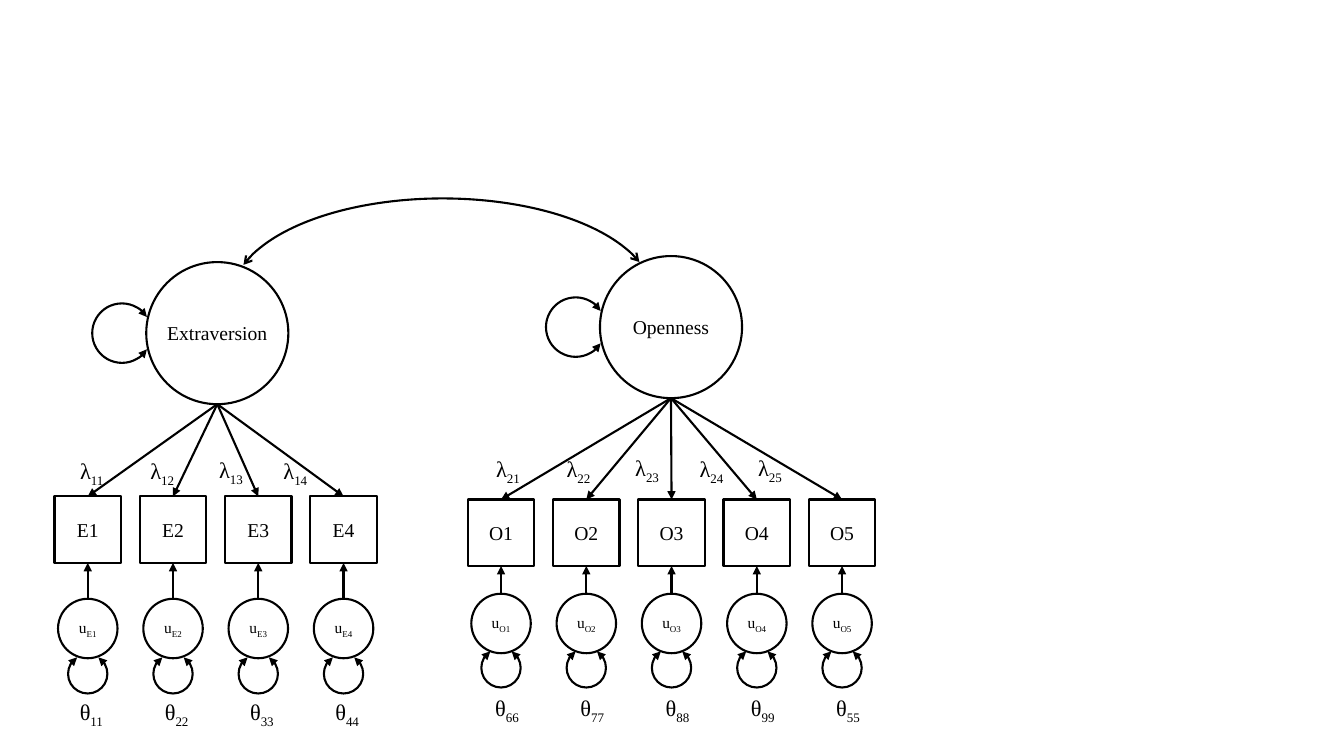
import pptx
import pptx.util
import pptx.dml.color
import pptx.enum.shapes
import pptx.enum.text
import pptx.oxml.ns
import lxml.etree

Pt = pptx.util.Pt
SHAPE = pptx.enum.shapes.MSO_SHAPE
ANCHOR = pptx.enum.text.MSO_ANCHOR
COLORS = {"ink": "000000", "paper": "FFFFFF"}

# Sizes shared by both factors, in points
FACTOR, BOX, ERROR, LOOP = 101.5, 47.5, 42.5, 28.1
PITCH = 60.9
LOADING_OFFSETS = [(0, 0), (50.4, 0), (99.4, -1), (145.4, 0), (187.2, -1)]

FACTORS = [
    dict(name="Extraversion", letter="E", index=1, center=155.2, top=187.2,
         first=62.7, box_top=354.6, error_top=427.7, loop_top=467.3,
         loading=(46.1, 323.3), theta=(2.6, 495.2),
         thetas=["11", "22", "33", "44"]),
    dict(name="Openness", letter="O", index=2, center=479.3, top=182.9,
         first=357.9, box_top=356.8, error_top=424.1, loop_top=463,
         loading=(343.4, 321.8), theta=(4.3, 492.5),
         thetas=["66", "77", "88", "99", "55"]),
]


def rgb(name):
    return pptx.dml.color.RGBColor.from_string(COLORS[name])


class Diagram:
    """Draws the elements of a path diagram on one slide."""

    font = {"name": "Times New Roman"}
    frame = {"word_wrap": True, "margin_left": 0, "margin_right": 0}
    loop_angles = (181.767, 142.275)

    def __init__(self, slide):
        self.slide = slide
        self.shapes = slide.shapes

    def outline(self, sp, head=None, tail=None):
        sp.line.color.rgb = rgb("ink")
        sp.line.width = Pt(1.5)
        ln = sp.line._get_or_add_ln()
        for tag, kind in (("a:headEnd", head), ("a:tailEnd", tail)):
            if kind:
                end = lxml.etree.SubElement(ln, pptx.oxml.ns.qn(tag))
                end.set("type", kind)

    def add_text(self, sp, text, size, sub="", **extra):
        tf = sp.text_frame
        for key, value in {**self.frame, **extra}.items():
            setattr(tf, key, value)
        p = tf.paragraphs[0]
        p.alignment = pptx.enum.text.PP_ALIGN.CENTER
        for part in filter(None, (text, sub)):
            r = p.add_run()
            r.text = part
            for key, value in {**self.font, "size": Pt(size)}.items():
                setattr(r.font, key, value)
            r.font.color.rgb = rgb("ink")
            if part == sub:
                r._r.get_or_add_rPr().set("baseline", "-25000")

    def node(self, kind, center, top, size, text, points, sub=""):
        sp = self.shapes.add_shape(kind, Pt(center - size / 2), Pt(top), Pt(size), Pt(size))
        sp.shadow.inherit = False
        sp.fill.solid()
        sp.fill.fore_color.rgb = rgb("paper")
        self.outline(sp)
        self.add_text(sp, text, points, sub, vertical_anchor=ANCHOR.MIDDLE)
        return sp

    def label(self, left, top, width, text, sub):
        sp = self.shapes.add_textbox(Pt(left), Pt(top), Pt(width), Pt(26.6))
        self.add_text(sp, text, 16, sub,
                      auto_size=pptx.enum.text.MSO_AUTO_SIZE.SHAPE_TO_FIT_TEXT)

    def arc(self, left, top, width, height, angles, arrow="triangle", rotation=0):
        sp = self.shapes.add_shape(SHAPE.ARC, Pt(left), Pt(top), Pt(width), Pt(height))
        sp.shadow.inherit = False
        sp.fill.background()
        sp.rotation = rotation
        for i, angle in enumerate(angles):
            sp.adjustments[i] = angle
        self.outline(sp, arrow, arrow)

    def arrow(self, start, target, site, source=None):
        """Arrow from a point, or from the top of a source, to a side of a box."""
        x, y = (Pt(v) for v in start)
        cx = self.shapes.add_connector(pptx.enum.shapes.MSO_CONNECTOR.STRAIGHT, x, y, x, y)
        if source is not None:
            cx.begin_connect(source, 0)
        cx.end_connect(target, site)
        self.outline(cx, tail="triangle")
        lxml.etree.SubElement(cx._element.spPr, pptx.oxml.ns.qn("a:effectLst"))

    def factor(self, name, letter, index, center, top, first, box_top, error_top,
               loop_top, loading, theta, thetas):
        # Latent factor with its variance loop
        self.node(SHAPE.OVAL, center, top, FACTOR, name, 14)
        self.arc(center - FACTOR / 2 - 38.6, top + (FACTOR - ERROR) / 2, ERROR, ERROR,
                 self.loop_angles, rotation=90)

        for i, variance in enumerate(thetas):
            x = first + i * PITCH
            item = f"{letter}{i + 1}"
            # Indicator and its error term
            box = self.node(SHAPE.RECTANGLE, x, box_top, BOX, item, 14)
            error = self.node(SHAPE.OVAL, x, error_top, ERROR, "u", 11, item)
            self.arrow((center, top + FACTOR), box, 0)
            self.arrow((x, error_top), box, 2, error)
            # Error variance
            self.arc(x - LOOP / 2, loop_top, LOOP, LOOP, self.loop_angles)
            self.label(x + theta[0] - 16.9, theta[1], 33.8, "θ", variance)
            # Factor loading
            dx, dy = LOADING_OFFSETS[i]
            self.label(loading[0] + dx, loading[1] + dy, 38.9, "λ", f"{index}{i + 1}")


def main():
    prs = pptx.Presentation()
    prs.slide_width, prs.slide_height = Pt(960), Pt(540)
    s = prs.slides.add_slide(prs.slide_layouts[6])
    diagram = Diagram(s)

    # Measurement models
    for factor in FACTORS:
        diagram.factor(**factor)

    # Covariance between the factors
    diagram.arc(165.6, 141.8, 301, 141.1, (113.544, 209.916), arrow="arrow")

    prs.save("out.pptx")


if __name__ == "__main__":
    main()
